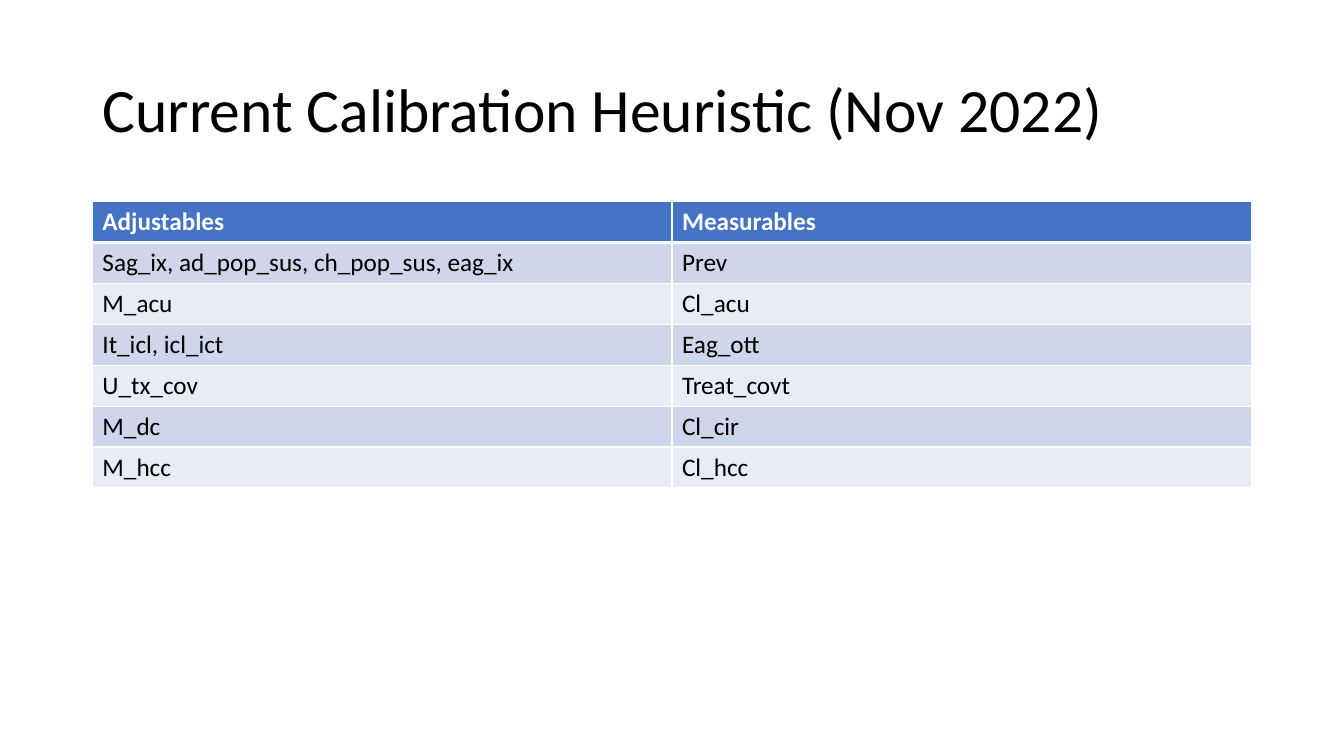
from lxml import etree
from pptx import Presentation
from pptx.dml.color import RGBColor
from pptx.enum.text import MSO_ANCHOR, MSO_AUTO_SIZE, PP_ALIGN
from pptx.oxml.ns import qn
from pptx.util import Pt

EMU_PER_PX = 9525
LEFT, MIDDLE = PP_ALIGN.LEFT, MSO_ANCHOR.MIDDLE
NO_AUTOFIT = MSO_AUTO_SIZE.NONE
TITLE_ONLY = 5

FONT = "Calibri"
BLACK = RGBColor(0x00, 0x00, 0x00)
WHITE = RGBColor(0xFF, 0xFF, 0xFF)
HEADER_BLUE = RGBColor(0x44, 0x72, 0xC4)
BAND_DARK = RGBColor(0xCF, 0xD5, 0xEA)
BAND_LIGHT = RGBColor(0xE9, 0xEB, 0xF5)

MARGIN, CONTENT_WIDTH = 88, 1104
TABLE_TOP, ROW_HEIGHT = 192, 39

HEURISTIC = [
    ("Adjustables", "Measurables"),
    ("Sag_ix, ad_pop_sus, ch_pop_sus, eag_ix", "Prev"),
    ("M_acu", "Cl_acu"),
    ("It_icl, icl_ict", "Eag_ott"),
    ("U_tx_cov", "Treat_covt"),
    ("M_dc", "Cl_cir"),
    ("M_hcc", "Cl_hcc"),
]


def px(length):
    return length * EMU_PER_PX


def write(frame, text, size=18, color=BLACK, bold=False, line_spacing=1.0):
    paragraph = frame.paragraphs[0]
    paragraph.alignment = LEFT
    paragraph.line_spacing = line_spacing
    run = paragraph.add_run()
    run.text = text
    run.font.name = FONT
    run.font.size = Pt(size)
    run.font.bold = bold
    run.font.color.rgb = color


def set_borders(cell, top=1, bottom=1):
    """Draw white cell borders; top and bottom widths are in points."""
    properties = cell._tc.get_or_add_tcPr()
    for side, width in (("L", 1), ("R", 1), ("T", top), ("B", bottom)):
        line = etree.SubElement(properties, qn(f"a:ln{side}"), w=str(Pt(width)))
        fill = etree.SubElement(line, qn("a:solidFill"))
        etree.SubElement(fill, qn("a:srgbClr"), val=str(WHITE))


def add_title(slide, text):
    title = slide.shapes.title
    title.left, title.top = px(MARGIN), px(38)
    title.width, title.height = px(CONTENT_WIDTH), px(139)
    frame = title.text_frame
    frame.word_wrap = True
    frame.auto_size = NO_AUTOFIT
    frame.vertical_anchor = MIDDLE
    write(frame, text, size=44, line_spacing=0.9)


def add_heuristic_table(slide, rows):
    table = slide.shapes.add_table(
        len(rows), len(rows[0]), px(MARGIN), px(TABLE_TOP),
        px(CONTENT_WIDTH), px(ROW_HEIGHT * len(rows))).table
    for row_index, row in enumerate(rows):
        is_header = row_index == 0
        band = BAND_DARK if row_index % 2 else BAND_LIGHT
        for column_index, text in enumerate(row):
            cell = table.cell(row_index, column_index)
            set_borders(cell, top=3 if row_index == 1 else 1,
                        bottom=3 if is_header else 1)
            cell.fill.solid()
            cell.fill.fore_color.rgb = HEADER_BLUE if is_header else band
            write(cell.text_frame, text, bold=is_header,
                  color=WHITE if is_header else BLACK)


def main():
    presentation = Presentation()
    presentation.slide_width = px(1280)
    presentation.slide_height = px(720)
    slide = presentation.slides.add_slide(presentation.slide_layouts[TITLE_ONLY])
    add_title(slide, "Current Calibration Heuristic (Nov 2022)")
    add_heuristic_table(slide, HEURISTIC)
    presentation.save("out.pptx")


if __name__ == "__main__":
    main()
